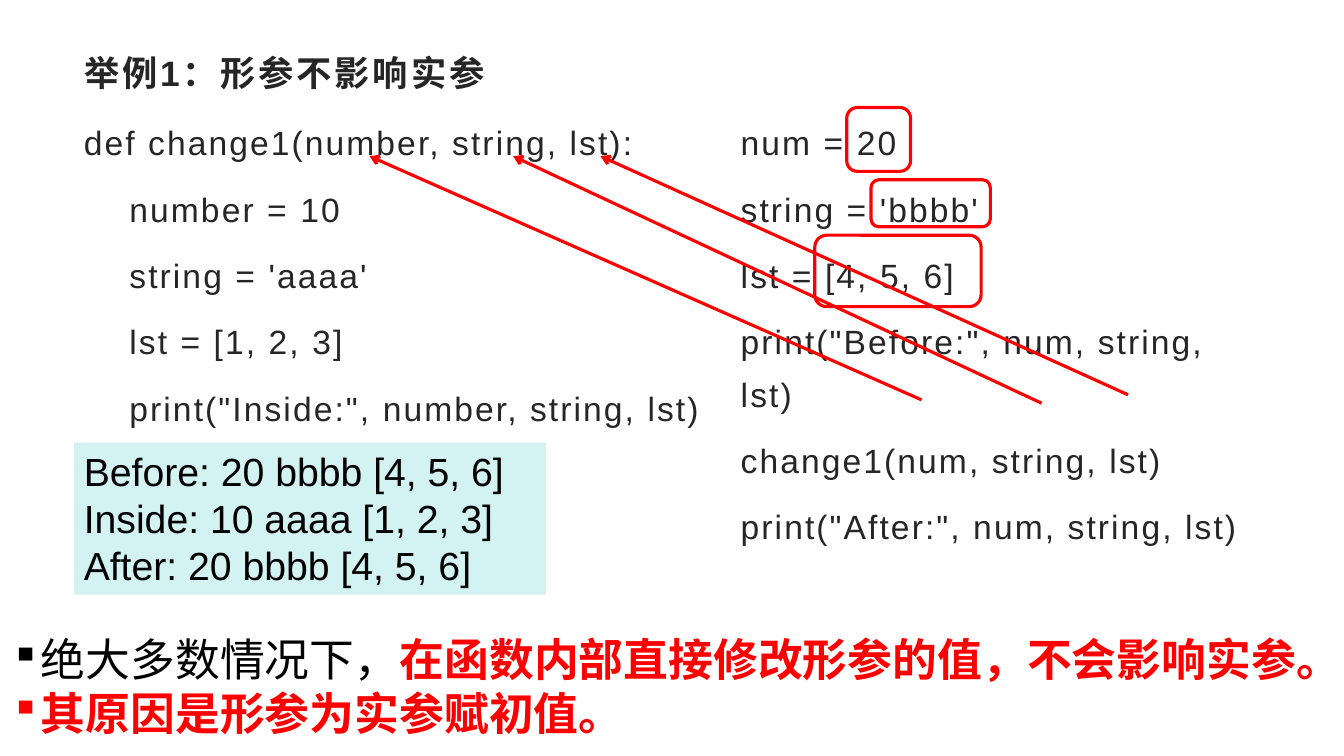
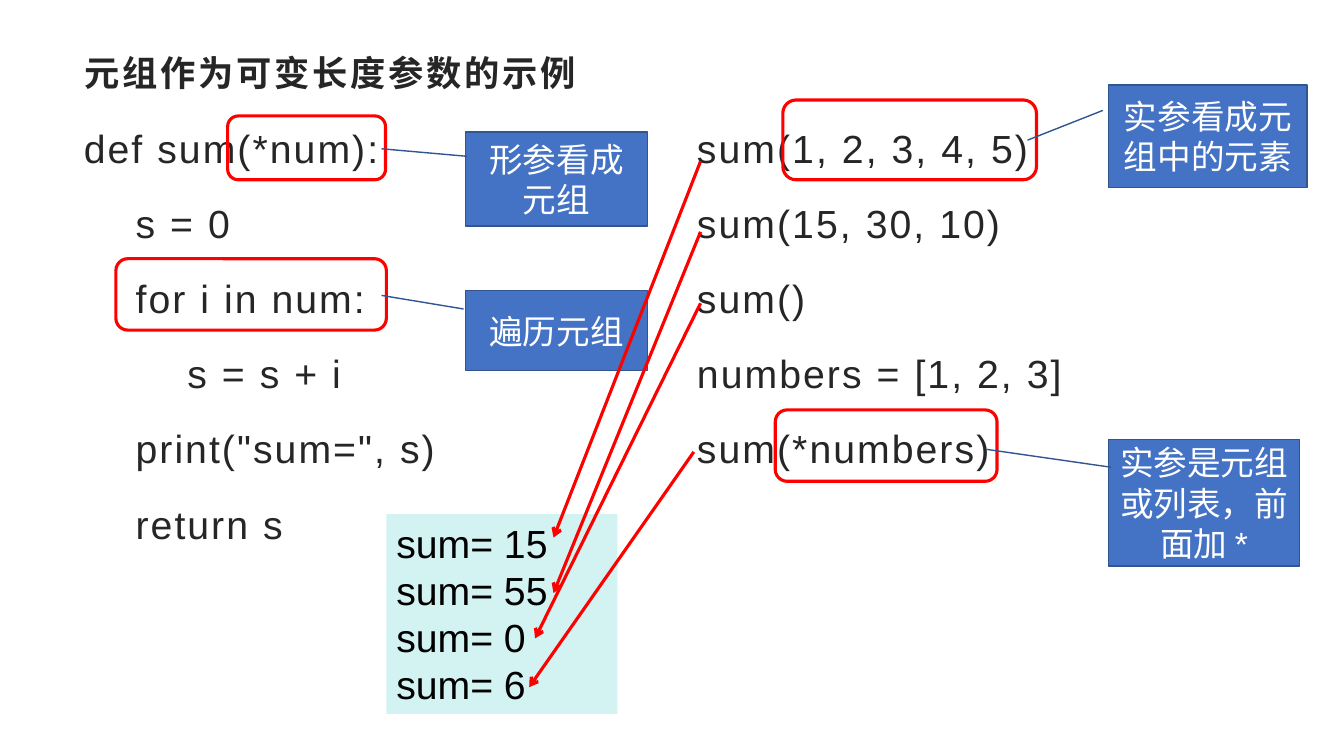
from typing import NamedTuple

from lxml import etree
from pptx import Presentation
from pptx import util as u
from pptx.dml.color import RGBColor
from pptx.enum import lang, shapes, text
from pptx.oxml.ns import qn

INK = RGBColor(0x26, 0x26, 0x26)
BLACK = RGBColor(0x00, 0x00, 0x00)
WHITE = RGBColor(0xFF, 0xFF, 0xFF)
RED = RGBColor(0xFF, 0x00, 0x00)
MINT = RGBColor(0xD3, 0xF2, 0xF2)
BLUE = RGBColor(0x44, 0x72, 0xC4)
NAVY = RGBColor(0x32, 0x54, 0x91)

FONT = "Arial"
COLUMNS, ROWS = 160, 90
CELL = u.Inches(7.5) / ROWS
MARK_WIDTH = u.Pt(2.25)


class Box(NamedTuple):
    """A region in grid cells."""
    left: float
    top: float
    width: float
    height: float

    def inside(self, left, top, width, height):
        """Return a box whose corner is offset from this box's corner."""
        return Box(self.left + left, self.top + top, width, height)

    def point(self, x, y):
        return self.left + x, self.top + y


TITLE = Box(8.8, 5.8, 142.4, 5.7)
CODE_TOP, CODE_HEIGHT = 12.5, 70.7


def cells(values):
    return [u.Emu(round(value * CELL)) for value in values]


def set_font(paragraph, size, color, bold=False, spacing=0):
    font = paragraph.font
    font.name, font.size, font.bold = FONT, u.Pt(size), bold
    font.color.rgb = color
    font.language_id = lang.MSO_LANGUAGE_ID.SIMPLIFIED_CHINESE
    if spacing:
        properties = paragraph._p.pPr.find(qn("a:defRPr"))
        properties.set("spc", str(round(spacing * 100)))


def write_lines(frame, lines):
    """Write one paragraph per line and return the paragraphs."""
    frame.text = "\n".join(lines)
    return frame.paragraphs


def add_title(slide, title):
    shape = slide.shapes.title
    shape.left, shape.top, shape.width, shape.height = cells(TITLE)
    frame = shape.text_frame
    frame.auto_size = text.MSO_AUTO_SIZE.NONE
    frame.vertical_anchor = text.MSO_ANCHOR.MIDDLE
    paragraph = write_lines(frame, [title])[0]
    paragraph.alignment = text.PP_ALIGN.LEFT
    set_font(paragraph, 25.2, INK, bold=True, spacing=2)


def add_code(slide, box, size, lines):
    frame = slide.shapes.add_textbox(*cells(box)).text_frame
    frame.word_wrap = True
    for paragraph in write_lines(frame, lines):
        paragraph.line_spacing = 1.3
        paragraph.space_after = u.Pt(10)
        set_font(paragraph, size, INK, spacing=1.5)


def add_output(slide, box, lines):
    shape = slide.shapes.add_textbox(*cells(box))
    shape.fill.solid()
    shape.fill.fore_color.rgb = MINT
    frame = shape.text_frame
    frame.word_wrap = True
    for paragraph in write_lines(frame, lines):
        set_font(paragraph, 28, BLACK)


def add_mark(slide, box):
    """Outline a piece of code in red."""
    shape = slide.shapes.add_shape(
        shapes.MSO_SHAPE.ROUNDED_RECTANGLE, *cells(box))
    shape.shadow.inherit = False
    shape.fill.background()
    shape.line.color.rgb = RED
    shape.line.width = MARK_WIDTH


def add_callout(slide, box, label, pointer):
    """Add a note; pointer is start y, x and end y, x in shares of the box."""
    shape = slide.shapes.add_shape(
        shapes.MSO_SHAPE.LINE_CALLOUT_1, *cells(box))
    for index, share in enumerate(pointer):
        shape.adjustments[index] = share
    shape.shadow.inherit = False
    shape.fill.solid()
    shape.fill.fore_color.rgb = BLUE
    shape.line.color.rgb = NAVY
    shape.line.width = u.Pt(1)
    frame = shape.text_frame
    frame.word_wrap = True
    frame.vertical_anchor = text.MSO_ANCHOR.MIDDLE
    paragraph = write_lines(frame, [label])[0]
    paragraph.alignment = text.PP_ALIGN.CENTER
    set_font(paragraph, 24, WHITE)


def add_arrow(slide, start, end):
    connector = slide.shapes.add_connector(
        shapes.MSO_CONNECTOR.STRAIGHT, *cells(start + end))
    connector.line.color.rgb = RED
    connector.line.width = MARK_WIDTH
    properties = connector._element.spPr
    etree.SubElement(properties.find(qn("a:ln")), qn("a:tailEnd"), type="arrow")
    etree.SubElement(properties, qn("a:effectLst"))


def add_conclusion(slide, box, opening, emphasis, reason):
    frame = slide.shapes.add_textbox(*cells(box)).text_frame
    frame.word_wrap = False
    frame.auto_size = text.MSO_AUTO_SIZE.SHAPE_TO_FIT_TEXT
    for paragraph, color in zip(write_lines(frame, [opening, reason]),
                                (BLACK, RED)):
        properties = paragraph._p.get_or_add_pPr()
        etree.SubElement(properties, qn("a:buSzPct"), val="90000")
        etree.SubElement(properties, qn("a:buChar"), char="▪")
        set_font(paragraph, 32, color, bold=color == RED)
    run = frame.paragraphs[0].add_run()
    run.text = emphasis
    run.font.bold = True
    run.font.color.rgb = RED


def new_slide(presentation, title):
    slide = presentation.slides.add_slide(
        presentation.slide_layouts.get_by_name("Title Only"))
    add_title(slide, title)
    return slide


def build_parameters_slide(presentation):
    slide = new_slide(presentation, "举例1：形参不影响实参")
    function = Box(TITLE.left, CODE_TOP, 78.2, CODE_HEIGHT)
    calls = Box(87, CODE_TOP, 64.2, CODE_HEIGHT)
    add_code(slide, function, 24, [
        "def change1(number, string, lst):",
        "    number = 10",
        "    string = 'aaaa'",
        "    lst = [1, 2, 3]",
        '    print("Inside:", number, string, lst)'])
    add_code(slide, calls, 24, [
        "num = 20",
        "string = 'bbbb'",
        "lst = [4, 5, 6]",
        'print("Before:", num, string, lst)',
        "change1(num, string, lst)",
        'print("After:", num, string, lst)'])
    for argument, parameter_x in [((22.7, 35.1), 35.2),
                                  ((37, 35.5), 52.3),
                                  ((47.3, 34.5), 62.7)]:
        add_arrow(slide, calls.point(*argument),
                  function.point(parameter_x, 6.1))
    for value in [(13.8, 0.3, 7.6, 7.6),
                  (16.7, 8.9, 14.2, 5.6),
                  (10, 15.5, 19.8, 8.5)]:
        add_mark(slide, calls.inside(*value))
    add_output(slide, function.inside(0, 40.2, 56.2, 18.1), [
        "Before: 20 bbbb [4, 5, 6]",
        "Inside: 10 aaaa [1, 2, 3]",
        "After: 20 bbbb [4, 5, 6]"])
    add_conclusion(slide, Box(0.1, 74.6, 159.8, 14.2),
                   "绝大多数情况下，",
                   "在函数内部直接修改形参的值，不会影响实参。",
                   "其原因是形参为实参赋初值。")


def build_tuple_slide(presentation):
    slide = new_slide(presentation, "元组作为可变长度参数的示例")
    function = Box(TITLE.left, CODE_TOP, 51.6, CODE_HEIGHT)
    calls = Box(81.8, CODE_TOP, 69.4, CODE_HEIGHT)
    add_code(slide, function, 28, [
        "def sum(*num):",
        "    s = 0",
        "    for i in num:",
        "        s = s + i",
        '    print("sum=", s)',
        "    return s"])
    add_code(slide, calls, 28, [
        "sum(1, 2, 3, 4, 5)",
        "sum(15, 30, 10)",
        "sum()",
        "numbers = [1, 2, 3]",
        "sum(*numbers)"])
    notes = [
        (function, (18.3, 1.3, 18.8, 7.6), (46.6, 3.2, 21.7, 11.2),
         "形参看成元组", (0.26, 0.01, 0.18, -0.46)),
        (function, (5, 18.3, 32.2, 8.5), (46.6, 22.1, 21.7, 9.5),
         "遍历元组", (0.23, -0.01, 0.06, -0.46)),
        (calls, (11.4, -0.6, 30.2, 9.5), (50.2, -2.4, 23.6, 12.2),
         "实参看成元组中的元素", (0.25, -0.03, 0.54, -0.41)),
        (calls, (10.5, 36.3, 26.4, 8.5), (50.2, 39.8, 22.7, 15.1),
         "实参是元组或列表，前面加 *", (0.22, 0.01, 0.08, -0.64))]
    for panel, mark, callout, label, pointer in notes:
        add_mark(slide, panel.inside(*mark))
        add_callout(slide, panel.inside(*callout), label, pointer)
    output = Box(46, 61.2, 27.5, 23.8)
    add_output(slide, output, ["sum= 15", "sum= 55", "sum= 0", "sum= 6"])
    for call, result in [((1.6, 6.7), (19.9, 2.8)),
                         ((1.6, 15.1), (19.9, 9.4)),
                         ((1.6, 23.6), (17.7, 14.8)),
                         ((0.8, 41.3), (17, 20.6))]:
        add_arrow(slide, calls.point(*call), output.point(*result))


def main():
    presentation = Presentation()
    presentation.slide_width, presentation.slide_height = cells((COLUMNS, ROWS))
    build_parameters_slide(presentation)
    build_tuple_slide(presentation)
    presentation.save("out.pptx")


if __name__ == "__main__":
    main()
